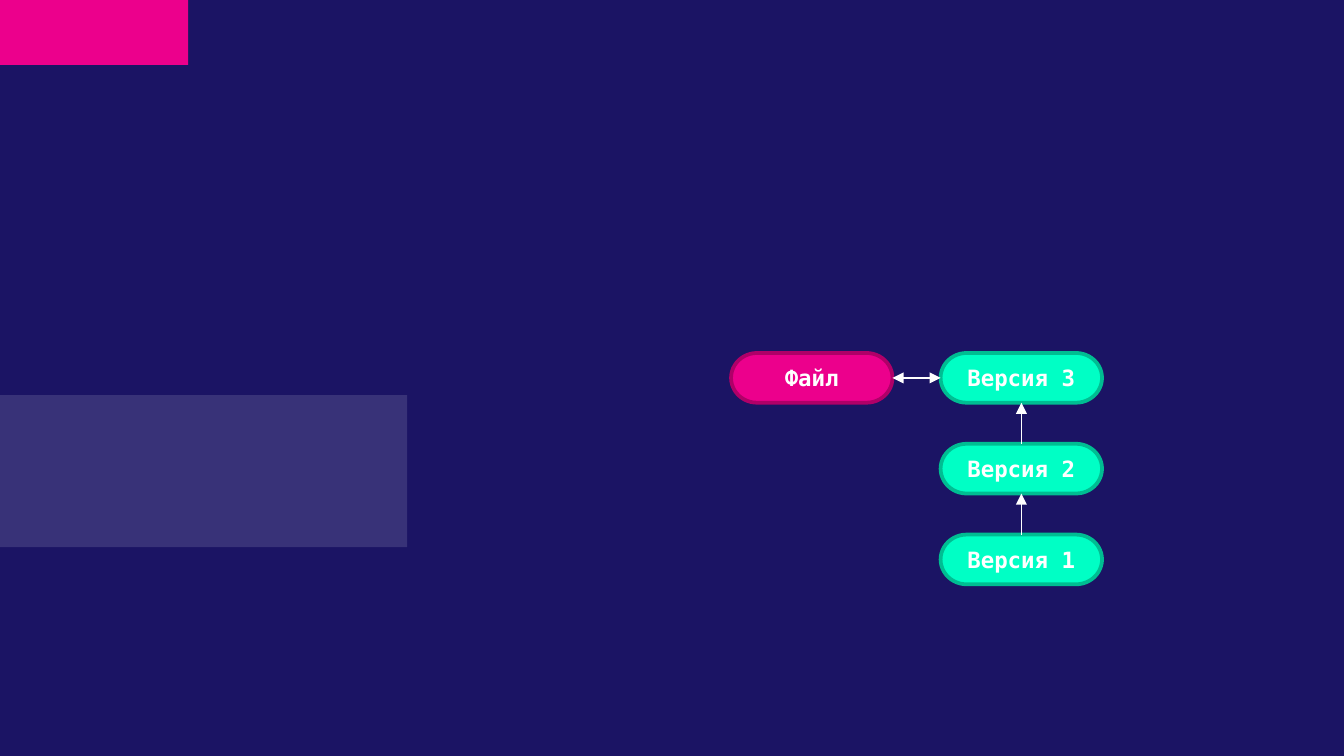
import pptx
import pptx.dml.color
import pptx.enum.shapes
import pptx.enum.text
import pptx.oxml.ns
import pptx.util
from lxml import etree

WIDTH = 10
HEIGHT = WIDTH * 9 / 16
NAVY, PINK, MINT, WHITE = "1B1464", "EC008C", "00FFC5", "FFFFFF"
DARK_PINK, DARK_MINT = "AF0068", "00BD92"
FONT = "DejaVu Sans Mono"
SHAPE = pptx.enum.shapes.MSO_SHAPE
TOP, LEFT, BOTTOM, RIGHT = range(4)


def rgb(value):
    """Turn a hex string into a colour."""
    return pptx.dml.color.RGBColor.from_string(value)


def add_child(parent, tag, **attrs):
    """Append a DrawingML element."""
    return etree.SubElement(parent, pptx.oxml.ns.qn(tag), **attrs)


def part(box, left, top, width, height):
    """Return the part of a box given by percentages of its size."""
    x, y, w, h = box
    return (x + w * left / 100, y + h * top / 100, w * width / 100, h * height / 100)


def add_filled(slide, kind, box, fill):
    """Add a flat shape whose box is given in inches."""
    sp = slide.shapes.add_shape(kind, *[pptx.util.Inches(v) for v in box])
    sp.shadow.inherit = False
    sp.fill.solid()
    sp.fill.fore_color.rgb = rgb(fill)
    return sp


def add_bands(slide, box):
    """Draw the translucent band and the corner block at the left edge."""
    band = add_filled(slide, SHAPE.RECTANGLE, part(box, 0, 52.27, 30.3, 20.1), WHITE)
    color = band.fill._xPr.find(".//" + pptx.oxml.ns.qn("a:srgbClr"))
    add_child(color, "a:alpha", val="13000")
    corner = add_filled(slide, SHAPE.RECTANGLE, part(box, 0, 0, 14, 8.6), PINK)
    for sp in (band, corner):
        sp.line.fill.background()


def add_node(slide, box, text, fill, outline):
    """Draw one labelled pill."""
    sp = add_filled(slide, SHAPE.FLOWCHART_TERMINATOR, box, fill)
    sp.line.color.rgb = rgb(outline)
    sp.line.width = pptx.util.Pt(2)
    tf = sp.text_frame
    tf.margin_left = tf.margin_right = tf.margin_top = tf.margin_bottom = 0
    tf.vertical_anchor = pptx.enum.text.MSO_ANCHOR.MIDDLE
    p = tf.paragraphs[0]
    p.text = text
    p.alignment = pptx.enum.text.PP_ALIGN.CENTER
    p.font.name = FONT
    p.font.size = pptx.util.Pt(12)
    p.font.bold = True
    p.font.color.rgb = rgb(WHITE)
    return sp


def add_arrow(slide, start, start_side, end, end_side, ends):
    """Join two pills with arrowheads at the named line ends."""
    line = slide.shapes.add_connector(
        pptx.enum.shapes.MSO_CONNECTOR.STRAIGHT, 0, 0, 0, 0)
    line.begin_connect(start, start_side)
    line.end_connect(end, end_side)
    line.line.color.rgb = rgb(WHITE)
    line.line.width = pptx.util.Pt(0.75)
    ln = line.line._get_or_add_ln()
    for name in ends:
        add_child(ln, name, type="triangle")
    add_child(line._element.spPr, "a:effectLst")


def add_history(slide, box):
    """Lay out the file beside its column of versions."""
    node_w, node_h = 43.5, 21.5
    column, step = 100 - node_w, (100 - node_h) / 2
    file = add_node(slide, part(box, 0, 0, node_w, node_h), "Файл", PINK, DARK_PINK)
    versions = [add_node(slide, part(box, column, row * step, node_w, node_h),
                         f"Версия {3 - row}", MINT, DARK_MINT) for row in range(3)]
    add_arrow(slide, file, RIGHT, versions[0], LEFT, ("a:headEnd", "a:tailEnd"))
    for newer, older in zip(versions, versions[1:]):
        add_arrow(slide, newer, BOTTOM, older, TOP, ("a:headEnd",))


def main():
    """Build and save the slide."""
    prs = pptx.Presentation()
    prs.slide_width = pptx.util.Inches(WIDTH)
    prs.slide_height = pptx.util.Inches(HEIGHT)
    slide = prs.slides.add_slide(prs.slide_layouts[6])
    slide.background.fill.solid()
    slide.background.fill.fore_color.rgb = rgb(NAVY)
    page = (0, 0, WIDTH, HEIGHT)
    add_bands(slide, page)
    add_history(slide, part(page, 54.4, 46.7, 27.6, 30.6))
    prs.save("out.pptx")


if __name__ == "__main__":
    main()
